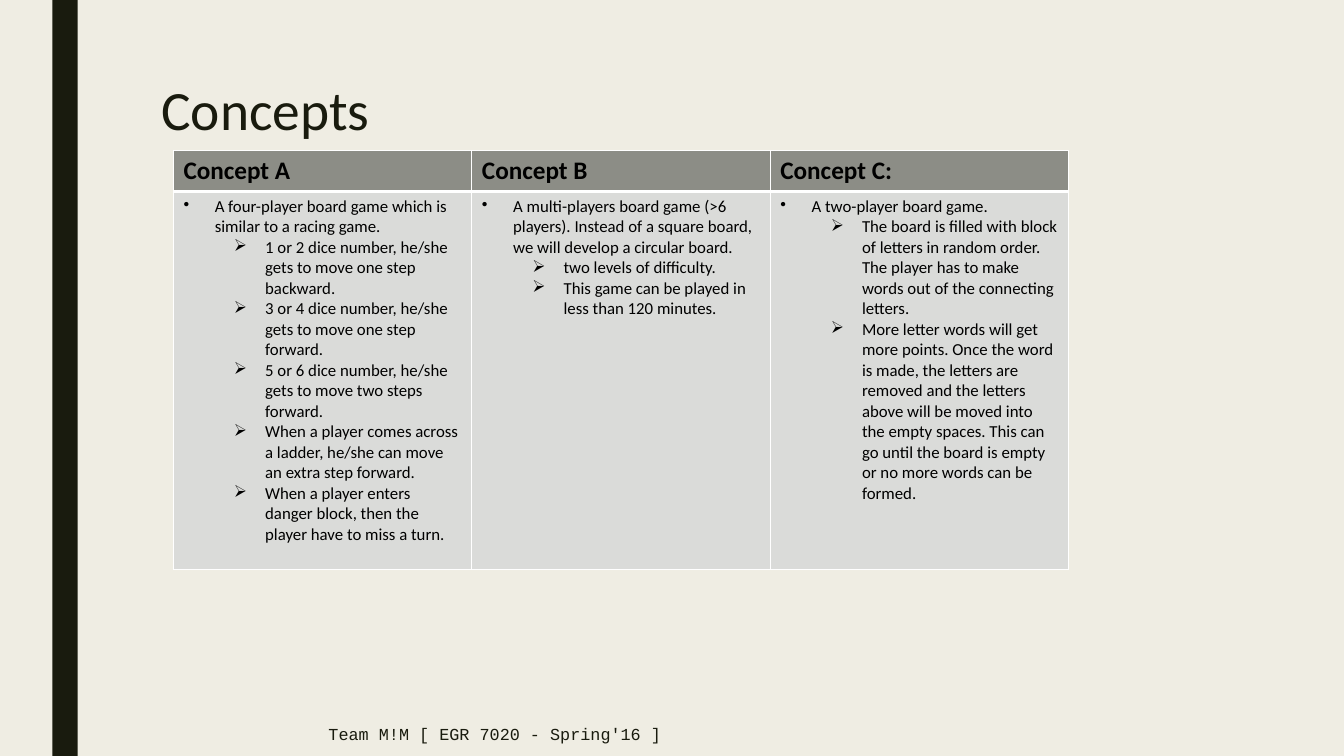
import pptx
import pptx.util
import pptx.dml.color
import pptx.enum.shapes
import pptx.enum.text
import pptx.oxml
import pptx.oxml.ns
import lxml.etree

Inches = pptx.util.Inches
RGBColor = pptx.dml.color.RGBColor

CREAM = RGBColor(0xEF, 0xED, 0xE3)
DARK = RGBColor(0x19, 0x1B, 0x0E)
BLACK = RGBColor(0x00, 0x00, 0x00)
WHITE = RGBColor(0xFF, 0xFF, 0xFF)
HEADER_GRAY = RGBColor(0x8C, 0x8D, 0x86)
BODY_GRAY = RGBColor(0xDA, 0xDB, 0xD9)

# Each concept: heading, summary, details
CONCEPTS = [
    ("Concept A", "A four-player board game which is similar to a racing game.", [
        "1 or 2 dice number, he/she gets to move one step backward.",
        "3 or 4 dice number, he/she gets to move one step forward.",
        "5 or 6 dice number, he/she gets to move two steps forward.",
        "When a player comes across a ladder, he/she can move an extra step forward.",
        "When a player enters danger block, then the player have to miss a turn.",
    ]),
    ("Concept B", "A multi-players board game (>6 players). Instead of a square board, "
     "we will develop a circular board.", [
        "two levels of difficulty.",
        "This game can be played in less than 120 minutes.",
    ]),
    ("Concept C:", "A two-player board game.", [
        "The board is filled with block of letters in random order. "
        "The player has to make words out of the connecting letters.",
        "More letter words will get more points. Once the word is made, the letters "
        "are removed and the letters above will be moved into the empty spaces. "
        "This can go until the board is empty or no more words can be formed.",
    ]),
]


def write(para, text, size, color, name="Calibri", bold=False):
    para.text = text
    font = para.runs[0].font
    font.size = pptx.util.Pt(size)
    font.name = name
    font.bold = bold
    font.color.rgb = color


def style_cell(cell, fill, top, bottom):
    properties = cell._tc.get_or_add_tcPr()
    for side, width in (("L", 1), ("R", 1), ("T", top), ("B", bottom)):
        properties.append(pptx.oxml.parse_xml(
            f'<a:ln{side} {pptx.oxml.ns.nsdecls("a")} w="{pptx.util.Pt(width)}">'
            f'<a:solidFill><a:srgbClr val="{WHITE}"/></a:solidFill></a:ln{side}>'))
    cell.fill.solid()
    cell.fill.fore_color.rgb = fill


deck = pptx.Presentation()
deck.slide_width = Inches(13.33)
deck.slide_height = Inches(7.5)
page = deck.slides.add_slide(deck.slide_layouts[5])
page.background.fill.solid()
page.background.fill.fore_color.rgb = CREAM

# Side bar
bar = page.shapes.add_shape(pptx.enum.shapes.MSO_SHAPE.RECTANGLE,
                            Inches(0.52), 0, Inches(0.25), Inches(7.5))
bar.shadow.inherit = False
bar.fill.solid()
bar.fill.fore_color.rgb = DARK
bar.line.fill.background()

# Title
title = page.shapes.title
title.left, title.top = Inches(1.5), Inches(0.75)
title.width, title.height = Inches(9.93), Inches(0.74)
title_para = title.text_frame.paragraphs[0]
write(title_para, "Concepts", 39.6, DARK)
title_para.alignment = pptx.enum.text.PP_ALIGN.LEFT
title_para.line_spacing = 0.89

# Footer
footer = page.shapes.add_textbox(Inches(3.16), Inches(7.06), Inches(6.87), Inches(0.44))
footer.text_frame.word_wrap = True
footer.text_frame.vertical_anchor = pptx.enum.text.MSO_ANCHOR.MIDDLE
write(footer.text_frame.paragraphs[0], "Team M!M [ EGR 7020 - Spring'16 ]", 12, DARK, "Courier New")

# Concept table
table = page.shapes.add_table(2, len(CONCEPTS), Inches(1.72), Inches(1.49),
                              Inches(8.88), Inches(4.16)).table
table.rows[0].height = Inches(0.41)
table.rows[1].height = Inches(3.75)

for column, (heading, summary, details) in enumerate(CONCEPTS):
    table.columns[column].width = Inches(2.96)
    header, body = table.cell(0, column), table.cell(1, column)
    style_cell(header, HEADER_GRAY, 1, 3)
    style_cell(body, BODY_GRAY, 3, 1)
    write(header.text_frame.paragraphs[0], heading, 18, BLACK, bold=True)

    # Bulleted summary with indented details
    for index, text in enumerate([summary] + details):
        para = body.text_frame.add_paragraph() if index else body.text_frame.paragraphs[0]
        level = 1 if index else 0
        para.level = level
        properties = para._p.get_or_add_pPr()
        properties.set("marL", str(Inches(0.31 + 0.5 * level)))
        properties.set("indent", str(Inches(-0.31)))
        bullet = lxml.etree.SubElement(properties, pptx.oxml.ns.qn("a:buChar"))
        bullet.set("char", "➢" if level else "•")
        write(para, text, 12, BLACK)

deck.save("out.pptx")
